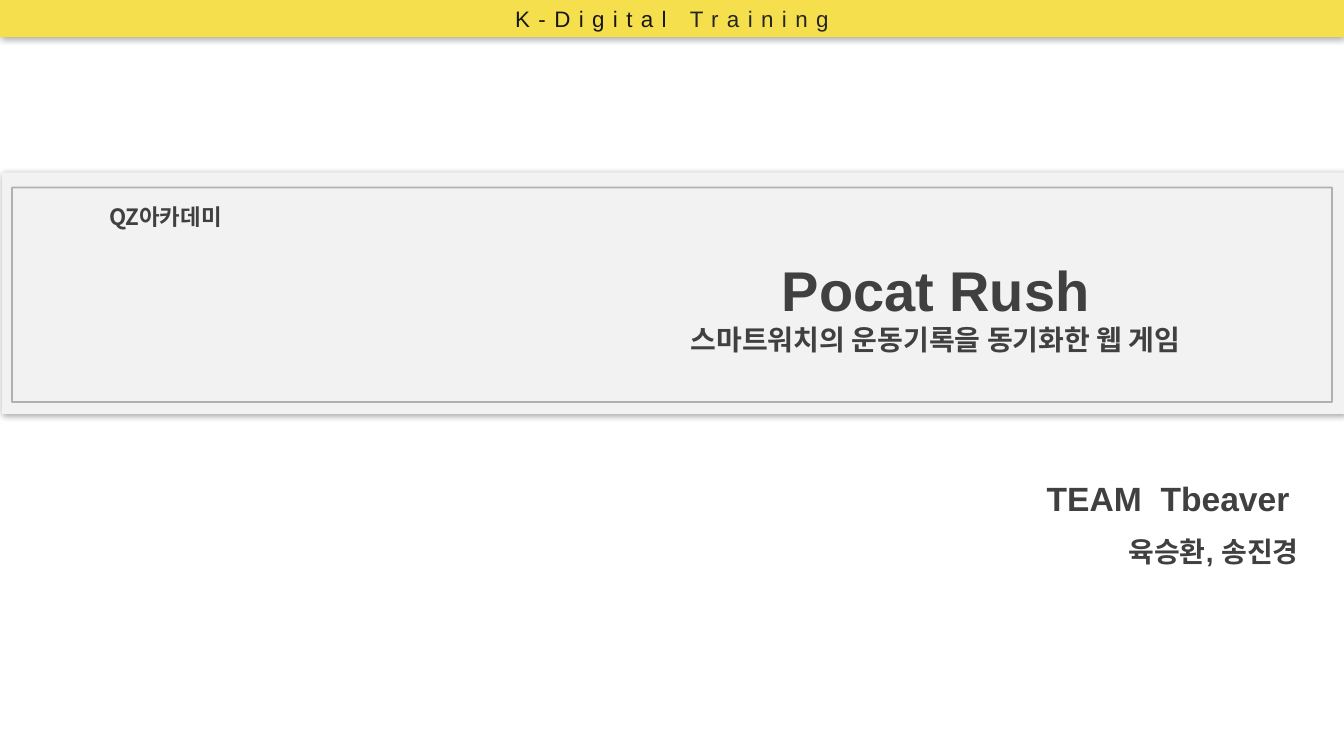
from dataclasses import dataclass
from typing import Optional

from lxml import etree
from pptx import Presentation, util as u
from pptx.dml.color import RGBColor
from pptx.enum import shapes, text
from pptx.oxml import ns


@dataclass(frozen=True)
class Theme:
    yellow: str = "F5DF4D"
    panel: str = "F2F2F2"
    frame: str = "939597"
    ink: str = "404040"
    black: str = "181717"
    charcoal: str = "262626"
    shadow: str = "000000"
    latin: str = "Arial"
    korean: str = "Noto Sans CJK KR"
    title: int = 40
    team: int = 24
    subtitle: int = 20
    label: int = 16


THEME = Theme()


@dataclass(frozen=True)
class Box:
    left: float
    top: float
    width: float
    height: float

    def emu(self) -> tuple:
        return tuple(u.Inches(v) for v in (self.left, self.top, self.width, self.height))


@dataclass(frozen=True)
class Band:
    box: Box
    fill: Optional[str] = None
    line: Optional[str] = None


@dataclass(frozen=True)
class TextArea:
    box: Box
    align: text.PP_ALIGN
    spacing: float = 1.0
    inset: float = 0.0


def add_xml(parent, tag: str, **attributes: str):
    """Append a DrawingML element and return it."""
    return etree.SubElement(parent, ns.qn(tag), attributes)


def draw_band(slide, band: Band):
    """Draw a shadowed filled band, or an unfilled translucent frame."""
    shape = slide.shapes.add_shape(shapes.MSO_SHAPE.RECTANGLE, *band.box.emu())
    shape.shadow.inherit = False
    if band.fill:
        shape.fill.solid()
        shape.fill.fore_color.rgb = RGBColor.from_string(band.fill)
        effects = shape._element.spPr.find(ns.qn("a:effectLst"))
        glow = add_xml(effects, "a:outerShdw", blurRad=str(u.Pt(5)), dist="0",
                       dir="0", algn="ctr", rotWithShape="0")
        add_xml(add_xml(glow, "a:srgbClr", val=THEME.shadow), "a:alpha", val="40000")
    else:
        shape.fill.background()
    if band.line:
        shape.line.width = u.Pt(1.25)
        shape.line.color.rgb = RGBColor.from_string(band.line)
        color = shape.line._ln.find(".//" + ns.qn("a:srgbClr"))
        add_xml(color, "a:alpha", val="70000")
    else:
        shape.line.fill.background()
    return shape


def draw_text_area(slide, area: TextArea):
    """Create a wrapping text box and return its first paragraph."""
    frame = slide.shapes.add_textbox(*area.box.emu()).text_frame
    frame.word_wrap = True
    frame.auto_size = text.MSO_AUTO_SIZE.SHAPE_TO_FIT_TEXT
    frame.margin_top = frame.margin_bottom = u.Inches(area.inset)
    for _ in range(1):
        paragraph = frame.paragraphs[0]
    paragraph.alignment = area.align
    paragraph.line_spacing = area.spacing
    return paragraph


def write(paragraph, words: str, *, size: int, color: str = THEME.ink,
          font: str = THEME.latin, bold: bool = True, tracking: float = 0) -> None:
    """Add formatted words to a paragraph; tracking is in points."""
    run = paragraph.add_run()
    run.text = words
    run.font.size = u.Pt(size)
    run.font.bold = bold
    run.font.name = font
    run.font.color.rgb = RGBColor.from_string(color)
    properties = run._r.get_or_add_rPr()
    add_xml(properties, "a:ea", typeface=THEME.korean)
    if tracking:
        properties.set("spc", str(round(tracking * 100)))


def draw_team(slide) -> None:
    align = text.PP_ALIGN.RIGHT
    heading = draw_text_area(slide, TextArea(Box(7.34, 4.54, 5.64, 1.11), align, 1.5))
    write(heading, "TEAM", size=THEME.team)
    write(heading, " ", size=THEME.team, tracking=6.67)
    write(heading, "Tbeaver ", size=THEME.team)
    members = heading._parent.add_paragraph()
    members.alignment = align
    members.line_spacing = 1.5
    write(members, "육승환, 송진경", size=THEME.subtitle)


def draw_title(slide) -> None:
    center = text.PP_ALIGN.CENTER
    academy = draw_text_area(slide, TextArea(Box(0.2, 1.97, 2.88, 0.37), center, inset=0.05))
    write(academy, "QZ아카데미", size=THEME.label, font=THEME.korean)
    title = draw_text_area(slide, TextArea(Box(5.58, 2.53, 7.4, 1.01), center))
    write(title, "Pocat Rush", size=THEME.title)
    title.add_line_break()
    write(title, "스마트워치의 운동기록을 동기화한 웹 게임", size=THEME.subtitle)


def draw_header(slide) -> None:
    header = draw_band(slide, Band(Box(0, 0, 13.33, 0.37), fill=THEME.yellow))
    header.text_frame.vertical_anchor = text.MSO_ANCHOR.MIDDLE
    program = header.text_frame.paragraphs[0]
    program.alignment = text.PP_ALIGN.CENTER
    for words, color in (("K-Digital ", THEME.black), ("Training", THEME.charcoal)):
        write(program, words, size=THEME.label, color=color, bold=False, tracking=6)


def main() -> None:
    deck = Presentation()
    deck.slide_width, deck.slide_height = u.Inches(13.33), u.Inches(7.5)
    slide = deck.slides.add_slide(deck.slide_layouts[6])

    # Team and members
    draw_team(slide)
    # Title panel and its text
    draw_band(slide, Band(Box(0.02, 1.71, 13.33, 2.4), fill=THEME.panel))
    draw_title(slide)
    # Program header
    draw_header(slide)
    # Frame inside the title panel
    draw_band(slide, Band(Box(0.12, 1.86, 13.09, 2.13), line=THEME.frame))

    deck.save("out.pptx")


if __name__ == "__main__":
    main()
